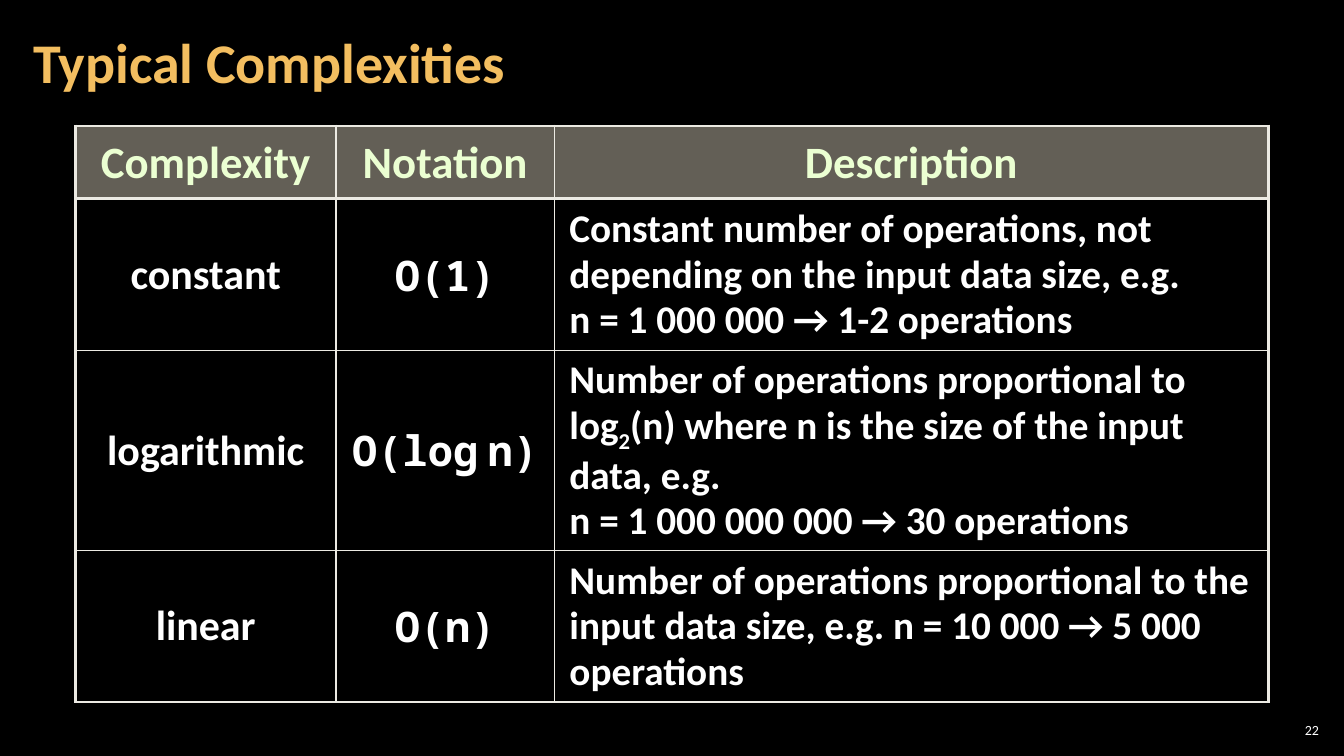
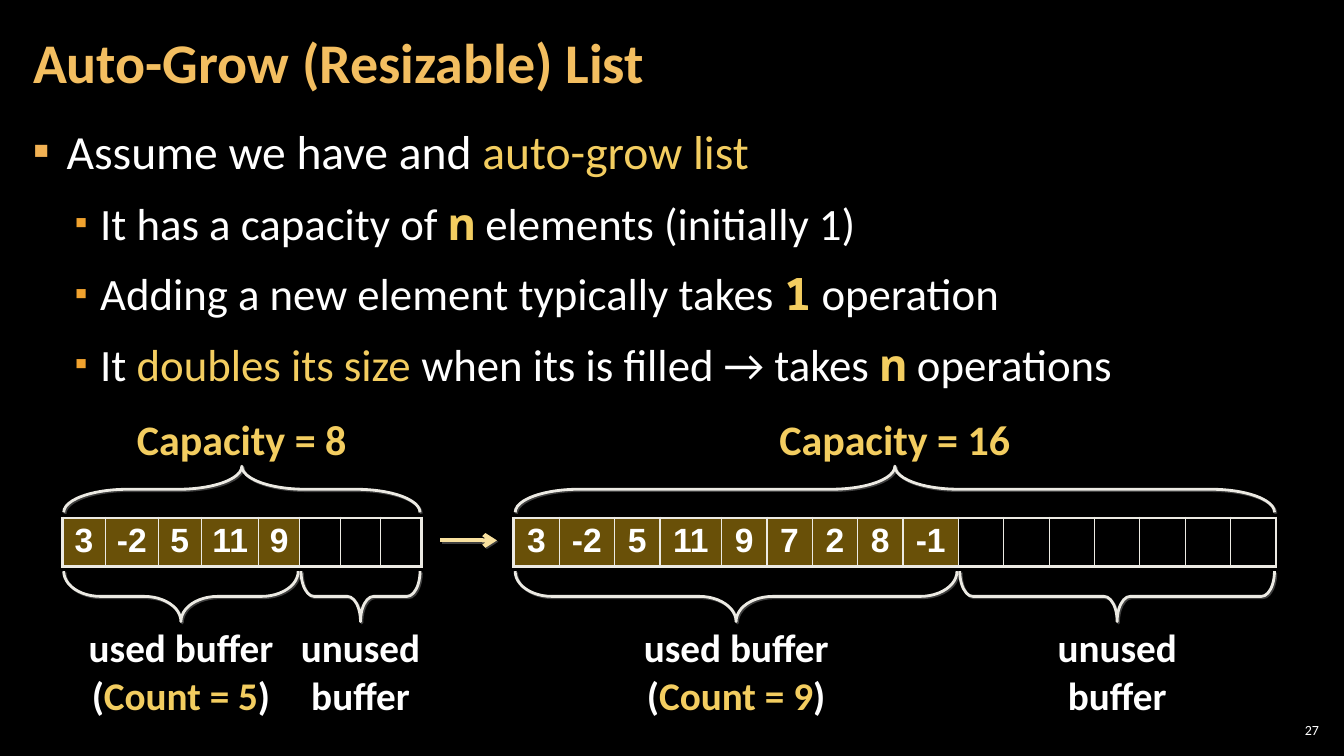
from dataclasses import dataclass
from typing import Optional

from lxml.etree import SubElement
from pptx import Presentation
from pptx.dml.color import RGBColor
from pptx.enum.shapes import MSO_CONNECTOR as Connector, MSO_SHAPE as Preset
from pptx.enum.text import MSO_ANCHOR as Anchor, PP_ALIGN as Align
from pptx.oxml.ns import qn
from pptx.util import Pt


@dataclass(frozen=True)
class Style:
    """Formatting that all runs of a paragraph share."""
    size: float
    color: str = "FFFFFF"
    bold: bool = True
    font: str = "Calibri"
    align: Align = Align.CENTER
    line_spacing: float = 1.0


@dataclass(frozen=True)
class Span:
    """A piece of text that departs from its paragraph style."""
    text: str
    color: Optional[str] = None
    font: Optional[str] = None
    bold: Optional[bool] = None
    baseline: int = 0


@dataclass(frozen=True)
class Theme:
    """Colours, type and line weights of the whole deck."""
    background: str = "000000"
    accent: str = "F3CD60"
    rule: str = "ECEAE3"
    arrow: str = "F8E19F"
    shadow: str = "404040"
    header_fill: str = "C7BFAC"
    used_fill: str = "D2A010"
    bullets: tuple = ("F2B254", "F0A22E")
    sans: str = "Calibri"
    mono: str = "Noto Sans Mono"
    outer_rule: float = 2.25
    inner_rule: float = 1
    title: Style = Style(40, "F3BE60", align=Align.LEFT, line_spacing=0.9)
    number: Style = Style(10, bold=False, align=Align.RIGHT)
    body: tuple = (Style(34, bold=False, align=Align.LEFT),
                   Style(32, bold=False, align=Align.LEFT))
    header: Style = Style(32, "EBFFD2", line_spacing=0.95)
    name: Style = Style(30, line_spacing=0.95)
    notation: Style = Style(30, font="Noto Sans Mono", line_spacing=0.95)
    description: Style = Style(28, align=Align.LEFT, line_spacing=0.95)
    element: Style = Style(24, font="Arial", line_spacing=0.95)
    capacity: Style = Style(30, "F3CD60")
    label: Style = Style(28)


THEME = Theme()


def accent(text):
    """Return a highlighted span."""
    return Span(text, color=THEME.accent)


def code(text):
    """Return a highlighted span in the monospaced font."""
    return Span(text, THEME.accent, THEME.mono, True)


def rgb(color):
    """Turn a hex string into a colour."""
    return RGBColor.from_string(color)


def format_font(font, color=None, name=None, bold=None, size=None):
    """Apply the given font properties and leave the others alone."""
    if color:
        font.color.rgb = rgb(color)
    if name:
        font.name = name
    if bold is not None:
        font.bold = bold
    if size:
        font.size = Pt(size)


def write_paragraph(paragraph, pieces, style):
    """Fill a paragraph with strings and spans in one style."""
    paragraph.alignment = style.align
    paragraph.line_spacing = style.line_spacing
    format_font(paragraph.font, style.color, style.font, style.bold, style.size)
    for piece in pieces:
        span = Span(piece) if isinstance(piece, str) else piece
        for index, line in enumerate(span.text.split("\n")):
            if index:
                paragraph.add_line_break()
            run = paragraph.add_run()
            run.text = line
            format_font(run.font, span.color, span.font, span.bold)
            if span.baseline:
                run._r.get_or_add_rPr().set("baseline", str(span.baseline * 1000))


def write_frame(frame, paragraphs, style, anchor=Anchor.TOP, insets=(7.2, 3.6)):
    """Set up a text frame and write its paragraphs."""
    frame.word_wrap = True
    frame.vertical_anchor = anchor
    frame.margin_left = frame.margin_right = Pt(insets[0])
    frame.margin_top = frame.margin_bottom = Pt(insets[1])
    for index, pieces in enumerate(paragraphs):
        paragraph = frame.add_paragraph() if index else frame.paragraphs[0]
        write_paragraph(paragraph, pieces, style)


def add_text(slide, box, pieces, style, **frame_options):
    """Add a one-paragraph text box."""
    shape = slide.shapes.add_textbox(*map(Pt, box))
    write_frame(shape.text_frame, [pieces], style, **frame_options)


def add_color(parent, color, opacity=None):
    """Append a solid fill to an XML element."""
    fill = SubElement(parent, qn("a:solidFill"))
    element = SubElement(fill, qn("a:srgbClr"), val=color)
    if opacity:
        SubElement(element, qn("a:alpha"), val=str(opacity * 1000))


def add_titled_slide(presentation, title, number):
    """Add a slide with its title and slide number."""
    slide = presentation.slides.add_slide(presentation.slide_layouts[5])
    shape = slide.shapes.title
    shape.left, shape.top, shape.width, shape.height = map(Pt, (15, 3, 754, 87))
    write_frame(shape.text_frame, [[title]], THEME.title, Anchor.MIDDLE, (8.6, 2.9))
    add_text(slide, (911, 514, 34, 15), [number], THEME.number,
             anchor=Anchor.MIDDLE, insets=(2.9, 2.9))
    return slide


def add_bullets(slide, box, items):
    """Add a two-level bullet list from (level, pieces) items."""
    frame = slide.shapes.add_textbox(*map(Pt, box)).text_frame
    write_frame(frame, [], THEME.body[0], insets=(8.6, 2.9))
    for index, (level, pieces) in enumerate(items):
        paragraph = frame.add_paragraph() if index else frame.paragraphs[0]
        paragraph.level = level
        paragraph.line_spacing = 1.0
        paragraph.space_before = paragraph.space_after = Pt(6)
        properties = paragraph._p.get_or_add_pPr()
        properties.set("marL", str(Pt((24, 48)[level])))
        properties.set("indent", str(-Pt((24, 18)[level])))
        color = SubElement(properties, qn("a:buClr"))
        SubElement(color, qn("a:srgbClr"), val=THEME.bullets[level])
        SubElement(properties, qn("a:buSzPct"), val=("100000", "80000")[level])
        SubElement(properties, qn("a:buFont"), typeface=THEME.sans)
        SubElement(properties, qn("a:buChar"), char="▪")
        write_paragraph(paragraph, pieces, THEME.body[level])


def draw_cell(cell, edges, fill):
    """Give a cell its left, right, top and bottom rules and its fill."""
    properties = cell._tc.get_or_add_tcPr()
    for side, heavy in zip("LRTB", edges):
        width = THEME.outer_rule if heavy else THEME.inner_rule
        line = SubElement(properties, qn(f"a:ln{side}"), w=str(Pt(width)))
        add_color(line, THEME.rule)
    if fill:
        add_color(properties, fill, opacity=50)
    else:
        cell.fill.background()


def add_grid(slide, origin, widths, heights, fill_of):
    """Add a ruled table with a heavy frame and a heavy line below row one."""
    rows, columns = len(heights), len(widths)
    size = sum(widths), sum(heights)
    table = slide.shapes.add_table(rows, columns, *map(Pt, origin + size)).table
    table.first_row = table.horz_banding = False
    for column, width in zip(table.columns, widths):
        column.width = Pt(width)
    for row, height in zip(table.rows, heights):
        row.height = Pt(height)
    for row in range(rows):
        for column in range(columns):
            edges = (column == 0, column == columns - 1,
                     row in (0, 1), row in (0, rows - 1))
            draw_cell(table.cell(row, column), edges, fill_of(row, column))
    return table


def write_cell(cell, paragraphs, style, side_inset):
    """Write centred-height text into a table cell."""
    cell.vertical_anchor = Anchor.MIDDLE
    cell.margin_left = cell.margin_right = Pt(side_inset)
    frame = cell.text_frame
    for index, pieces in enumerate(paragraphs):
        paragraph = frame.add_paragraph() if index else frame.paragraphs[0]
        write_paragraph(paragraph, pieces, style)


def cast_shadow(shape):
    """Add a small hard shadow to the lower right."""
    effects = SubElement(shape.element.spPr, qn("a:effectLst"))
    shadow = SubElement(effects, qn("a:outerShdw"), dist=str(Pt(1.4)),
                        dir="2700000", algn="ctr", rotWithShape="0")
    SubElement(shadow, qn("a:srgbClr"), val=THEME.shadow)


def add_brace(slide, box, rotation, curve):
    """Add a horizontal brace that fills the box as seen on the slide."""
    left, top, span, depth = box
    place = left + (span - depth) / 2, top + (depth - span) / 2, depth, span
    brace = slide.shapes.add_shape(Preset.LEFT_BRACE, *map(Pt, place))
    brace.rotation = rotation
    brace.adjustments[0] = curve
    brace.fill.background()
    brace.line.color.rgb = rgb(THEME.rule)
    brace.line.width = Pt(2)
    cast_shadow(brace)


def add_buffer(slide, origin, widths, values):
    """Add a list buffer with its capacity above and its two parts below."""
    left, top = origin
    used, total = sum(widths[:len(values)]), sum(widths)
    table = add_grid(slide, (left, top + 78), widths, [34.5],
                     lambda row, column: THEME.used_fill if column < len(values) else None)
    for column, value in enumerate(values):
        write_cell(table.cell(0, column), [[value]], THEME.element, 5)

    add_brace(slide, (left + 1, top + 41, total - 2, 33), 90, 1.38)
    add_text(slide, (left + total / 2 - 91, top, 182, 44),
             [f"Capacity = {len(widths)}"], THEME.capacity)
    parts = (
        (0, used, 0.73, 170, ["used buffer\n(", accent(f"Count = {len(values)}"), ")"]),
        (used, total - used, 0.26, 106, ["unused\nbuffer"]),
    )
    for offset, span, curve, width, pieces in parts:
        add_brace(slide, (left + offset + 1, top + 116, span - 2, 36), 270, curve)
        middle = left + offset + span / 2
        add_text(slide, (middle - width / 2, top + 150, width, 75), pieces, THEME.label)


def add_arrow(slide, left, right, y):
    """Add a horizontal arrow pointing right."""
    arrow = slide.shapes.add_connector(Connector.STRAIGHT, *map(Pt, (left, y, right, y)))
    arrow.line.color.rgb = rgb(THEME.arrow)
    arrow.line.width = Pt(3)
    SubElement(arrow.element.spPr.find(qn("a:ln")), qn("a:tailEnd"), type="arrow")
    cast_shadow(arrow)


def build_complexities(presentation):
    """Build the slide with the table of complexities."""
    slide = add_titled_slide(presentation, "Typical Complexities", "22")
    rows = (
        ("constant", ["O(1)"],
         [["Constant number of operations, not depending on the input data size, e.g."],
          ["n = 1 000 000 → 1-2 operations"]]),
        ("logarithmic", ["O(log", Span(" ", font=THEME.sans), "n)"],
         [["Number of operations proportional to log", Span("2", baseline=-25),
           "(n) where n is the size of the input data, e.g.\n"
           "n = 1 000 000 000 → 30 operations"]]),
        ("linear", ["O(n)"],
         [["Number of operations proportional to the input data size, "
           "e.g. n = 10 000 → 5 000 operations"]]),
    )
    table = add_grid(slide, (54, 90), (186, 156, 510), (52, 108.5, 142.5, 108.5),
                     lambda row, column: None if row else THEME.header_fill)
    for column, heading in enumerate(("Complexity", "Notation", "Description")):
        write_cell(table.cell(0, column), [[heading]], THEME.header, 10.8)
    styles = THEME.name, THEME.notation, THEME.description
    for row, (name, notation, description) in enumerate(rows, 1):
        contents = [[name]], [notation], description
        for column, (paragraphs, style) in enumerate(zip(contents, styles)):
            write_cell(table.cell(row, column), paragraphs, style, 10.8)


def build_growing_list(presentation):
    """Build the slide about the list that doubles its capacity."""
    slide = add_titled_slide(presentation, "Auto-Grow (Resizable) List", "27")
    add_bullets(slide, (15, 84, 930, 438), (
        (0, ["Assume we have and ", accent("auto-grow list")]),
        (1, ["It has a capacity of ", code("n"), " elements (initially 1)"]),
        (1, ["Adding a new element typically takes ", code("1"), " operation"]),
        (1, ["It ", accent("doubles its size "), "when its is filled → takes ",
             code("n"), " operations"]),
    ))
    values = ["3", "-2", "5", "11", "9", "7", "2", "8", "-1"]
    add_buffer(slide, (44.5, 292), [31, 37.5, 31, 41] + [29] * 4, values[:5])
    add_buffer(slide, (367, 292),
               [32.4, 39.6, 32.4, 44] + [32.4] * 4 + [39.6] + [32.4] * 7, values)
    add_arrow(slide, 314.5, 355, 386)


def main():
    """Build and save the presentation."""
    presentation = Presentation()
    presentation.slide_width, presentation.slide_height = Pt(960), Pt(540)
    background = presentation.slide_master.background.fill
    background.solid()
    background.fore_color.rgb = rgb(THEME.background)
    build_complexities(presentation)
    build_growing_list(presentation)
    presentation.save("out.pptx")


if __name__ == "__main__":
    main()
